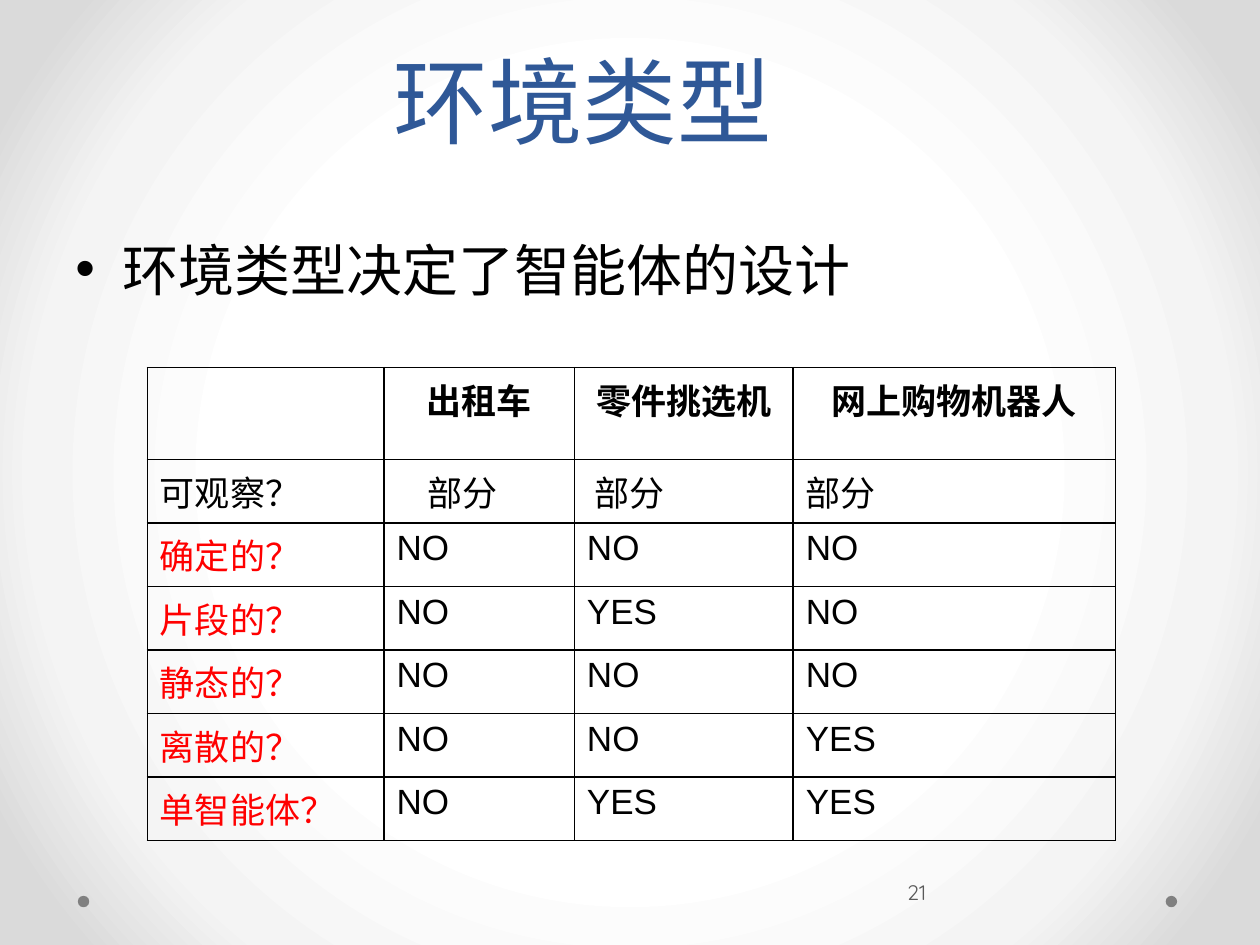
from lxml import etree
from pptx import Presentation
from pptx.dml.color import RGBColor
from pptx.enum.shapes import MSO_SHAPE
from pptx.enum.text import MSO_ANCHOR, PP_ALIGN
from pptx.oxml import parse_xml
from pptx.oxml.ns import qn
from pptx.util import Cm, Pt

CENTER, LEFT = PP_ALIGN.CENTER, PP_ALIGN.LEFT
MIDDLE, TOP = MSO_ANCHOR.MIDDLE, MSO_ANCHOR.TOP
OVAL = MSO_SHAPE.OVAL
NS = ('xmlns:a="http://schemas.openxmlformats.org/drawingml/2006/main" '
      'xmlns:p="http://schemas.openxmlformats.org/presentationml/2006/main"')
COLORS = {"title": "2F5897", "text": "000000", "accent": "FF0000",
          "dot": "808080", "number": "595959"}
GRADIENT = [(50, "FFFFFF"), (76, "F4F4F4"), (92, "DADADA")]


def format_text(p, size, font, color, bold=False):
    for r in p.runs:
        r.font.size = Pt(size)
        r.font.name = font
        r.font.bold = bold
        r.font.color.rgb = RGBColor.from_string(COLORS[color])


def add_text(text, left, top, width, height, anchor, size, font, color):
    tf = s.shapes.add_textbox(Cm(left), Cm(top), Cm(width), Cm(height)).text_frame
    tf.word_wrap = True
    tf.vertical_anchor = anchor
    tf.text = text
    p = tf.paragraphs[0]
    format_text(p, size, font, color)
    return p


prs = Presentation()
prs.slide_width, prs.slide_height = Cm(25.4), Cm(19.05)
s = prs.slides.add_slide(prs.slide_layouts[6])

stops = "".join(f'<a:gs pos="{pos * 1000}"><a:srgbClr val="{c}"/></a:gs>' for pos, c in GRADIENT)
s.element.cSld.insert(0, parse_xml(
    f'<p:bg {NS}><p:bgPr><a:gradFill rotWithShape="1"><a:gsLst>{stops}</a:gsLst>'
    '<a:path path="circle"><a:fillToRect l="50000" t="50000" r="50000" b="50000"/></a:path>'
    '</a:gradFill><a:effectLst/></p:bgPr></p:bg>'))

for left in (23.5, 1.57):
    sp = s.shapes.add_shape(OVAL, Cm(left), Cm(18.06), Cm(0.23), Cm(0.23))
    sp.shadow.inherit = False
    sp.fill.solid()
    sp.fill.fore_color.rgb = RGBColor.from_string(COLORS["dot"])
    sp.line.fill.background()

p = add_text("环境类型", 1.27, 0.33, 20.96, 3.61, MIDDLE, 54, "Cambria", "title")
p.alignment = CENTER
p.line_spacing = Pt(58)

p = add_text("环境类型决定了智能体的设计", 1.27, 4.88, 21.79, 9.96, TOP, 32, "Quicksand", "text")
p.line_spacing = 0.8
p.space_before = Pt(6.4)
pPr = p._p.get_or_add_pPr()
pPr.set("marL", str(Cm(0.95)))
pPr.set("indent", str(Cm(-0.95)))
etree.SubElement(pPr, qn("a:buFont")).set("typeface", "Arial")
etree.SubElement(pPr, qn("a:buChar")).set("char", "•")

rows = [
    ["", "出租车", "零件挑选机", "网上购物机器人"],
    ["可观察？", "部分", "部分", "部分"],
    ["确定的？", "NO", "NO", "NO"],
    ["片段的？", "NO", "YES", "NO"],
    ["静态的？", "NO", "NO", "NO"],
    ["离散的？", "NO", "NO", "YES"],
    ["单智能体？", "NO", "YES", "YES"],
]
widths = [4.77, 3.84, 4.41, 6.5]
heights = [1.85] + [1.28] * 6
partial_indents = [0, 0.62, 0.16, 0]

table = s.shapes.add_table(len(rows), len(widths), Cm(2.97), Cm(7.41),
                           Cm(sum(widths)), Cm(sum(heights))).table
table.first_row = table.horz_banding = False
for col, width in zip(table.columns, widths):
    col.width = Cm(width)
for row, height in zip(table.rows, heights):
    row.height = Cm(height)

for i, row in enumerate(rows):
    for j, text in enumerate(row):
        cell = table.cell(i, j)
        cell.text = text
        p = cell.text_frame.paragraphs[0]
        header, accent = i == 0, i > 1 and j == 0
        p.alignment = CENTER if header else LEFT
        format_text(p, 20, "Times New Roman" if header or accent else "Arial",
                    "accent" if accent else "text", header)
        if i == 1:
            p._p.get_or_add_pPr().set("marL", str(Cm(partial_indents[j])))
        tcPr = cell._tc.get_or_add_tcPr()
        for side in ("lnL", "lnR", "lnT", "lnB"):
            tcPr.append(parse_xml(
                f'<a:{side} {NS} w="{Pt(1)}"><a:solidFill><a:srgbClr val="{COLORS["text"]}"/>'
                f'</a:solidFill></a:{side}>'))
        cell.fill.background()

p = add_text("21", 18.21, 17.35, 5.92, 1.27, MIDDLE, 12, "Quicksand", "number")
tf = s.shapes[-1].text_frame
tf.margin_left = Cm(0.08)
tf.margin_right = Cm(0.13)

prs.save("out.pptx")
